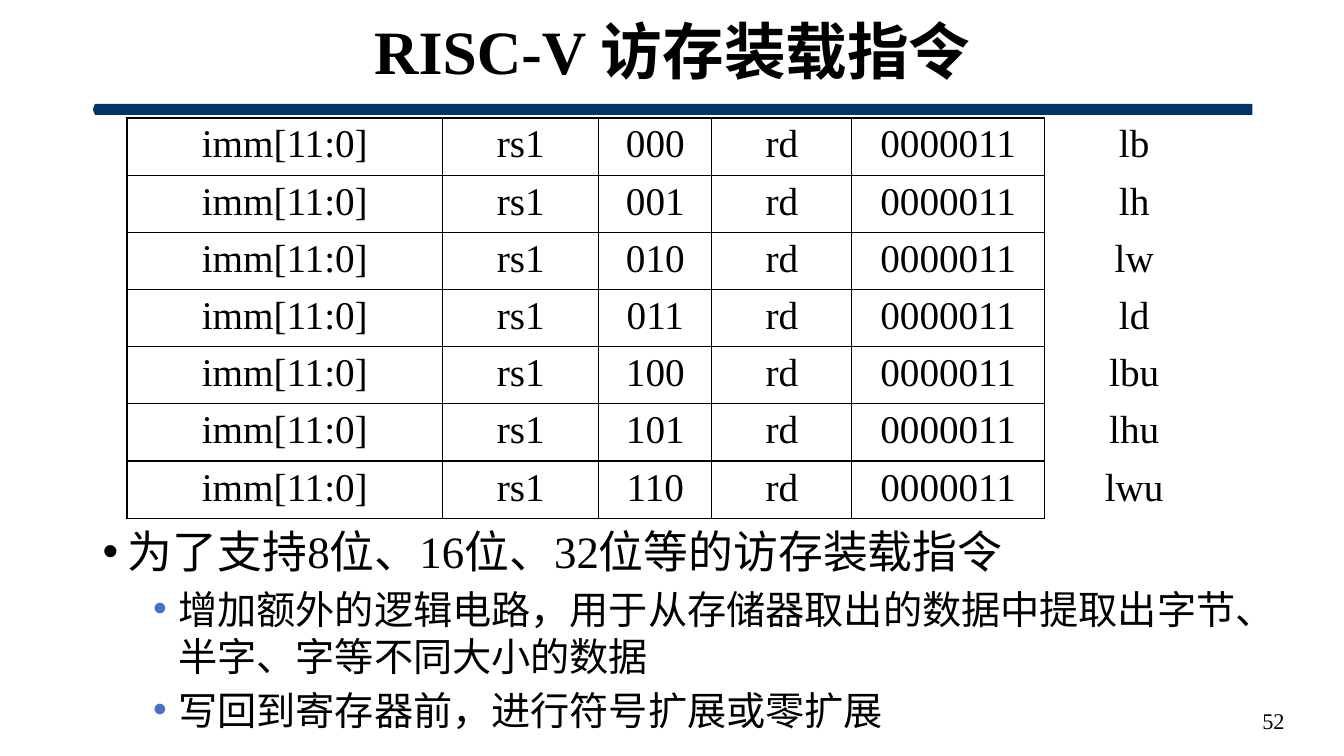
from lxml.etree import SubElement
from pptx import Presentation
from pptx.dml.color import RGBColor
from pptx.enum.shapes import MSO_SHAPE
from pptx.enum.text import MSO_ANCHOR, PP_ALIGN
from pptx.oxml import parse_xml
from pptx.oxml.ns import nsdecls, qn
from pptx.util import Inches, Pt


def color(value):
    return RGBColor.from_string(value)


def write(p, text, size=28, bold=False, fill="000000", font="Times New Roman",
          align=PP_ALIGN.LEFT, before=0, spacing=1.0):
    p.alignment = align
    p.space_before = Pt(before)
    p.line_spacing = spacing
    r = p.add_run()
    r.text = text
    r.font.name = font
    r.font.size = Pt(size)
    r.font.bold = bold
    r.font.color.rgb = color(fill)


class SlideBuilder:
    """Draws the elements of one slide in a shared style."""

    ink = "000000"
    navy = "003366"
    accent = "4472C4"

    def __init__(self, prs):
        self.s = prs.slides.add_slide(prs.slide_layouts[6])

    def bar(self, x, y, w, h):
        sp = self.s.shapes.add_shape(
            MSO_SHAPE.PENTAGON, Inches(x), Inches(y), Inches(w), Inches(h))
        sp.adjustments[0] = 0.2
        sp.rotation = 180
        sp.shadow.inherit = False
        sp.fill.solid()
        sp.fill.fore_color.rgb = color(self.navy)
        sp.line.fill.background()

    def box(self, x, y, w, h, anchor=MSO_ANCHOR.TOP):
        sp = self.s.shapes.add_textbox(Inches(x), Inches(y), Inches(w), Inches(h))
        tf = sp.text_frame
        tf.word_wrap = True
        tf.vertical_anchor = anchor
        return tf

    def text(self, x, y, w, h, text, **style):
        tf = self.box(x, y, w, h, MSO_ANCHOR.MIDDLE)
        write(tf.paragraphs[0], text, **style)

    def bullets(self, x, y, w, h, items):
        tf = self.box(x, y, w, h)
        for i, (level, text) in enumerate(items):
            p = tf.add_paragraph() if i else tf.paragraphs[0]
            p.level = level
            pPr = p._p.get_or_add_pPr()
            pPr.set("marL", str(Inches(0.25 + 0.5 * level)))
            pPr.set("indent", str(Inches(-0.25)))
            buClr = SubElement(pPr, qn("a:buClr"))
            SubElement(buClr, qn("a:srgbClr"), val=self.accent if level else self.ink)
            SubElement(pPr, qn("a:buFont"), typeface="Arial")
            SubElement(pPr, qn("a:buChar"), char="•")
            write(p, text, size=28 if level else 32, before=5 if i else 0)

    def borders(self, cell, sides):
        tcPr = cell._tc.get_or_add_tcPr()
        for i, side in enumerate("LRTB"):
            paint = (f'<a:solidFill><a:srgbClr val="{self.ink}"/></a:solidFill>'
                     if side in sides else "<a:noFill/>")
            tcPr.insert(i, parse_xml(
                f'<a:ln{side} {nsdecls("a")} w="{Pt(1)}">{paint}</a:ln{side}>'))

    def table(self, x, y, widths, row_height, rows):
        table = self.s.shapes.add_table(
            len(rows), len(widths), Inches(x), Inches(y),
            Inches(sum(widths)), Inches(row_height * len(rows))).table
        table.first_row = table.horz_banding = False
        for column, width in zip(table.columns, widths):
            column.width = Inches(width)
        for i, row in enumerate(rows):
            table.rows[i].height = Inches(row_height)
            for j, text in enumerate(row):
                cell = table.cell(i, j)
                cell.fill.background()
                self.borders(cell, "L" if j == len(row) - 1 else "LRTB")
                write(cell.text_frame.paragraphs[0], text, align=PP_ALIGN.CENTER)


def main():
    prs = Presentation()
    prs.slide_width, prs.slide_height = Inches(13.33), Inches(7.5)
    slide = SlideBuilder(prs)
    slide.bar(0.92, 1.03, 11.5, 0.11)
    slide.text(0.92, 0.13, 11.5, 0.82, "RISC-V 访存装载指令",
               size=44, bold=True, align=PP_ALIGN.CENTER, spacing=0.9)
    slide.bullets(0.92, 5.15, 11.5, 2.1, [
        (0, "为了支持8位、16位、32位等的访存装载指令"),
        (1, "增加额外的逻辑电路，用于从存储器取出的数据中提取出字节、半字、字等不同大小的数据"),
        (1, "写回到寄存器前，进行符号扩展或零扩展"),
    ])
    slide.text(9.84, 6.95, 3, 0.4, "52", size=16, align=PP_ALIGN.RIGHT)
    loads = ["lb", "lh", "lw", "ld", "lbu", "lhu", "lwu"]
    slide.table(1.26, 1.17, [3.13, 1.55, 1.12, 1.39, 1.91, 1.78], 0.567, [
        ["imm[11:0]", "rs1", f"{funct3:03b}", "rd", "0000011", name]
        for funct3, name in enumerate(loads)])
    prs.save("out.pptx")


if __name__ == "__main__":
    main()
